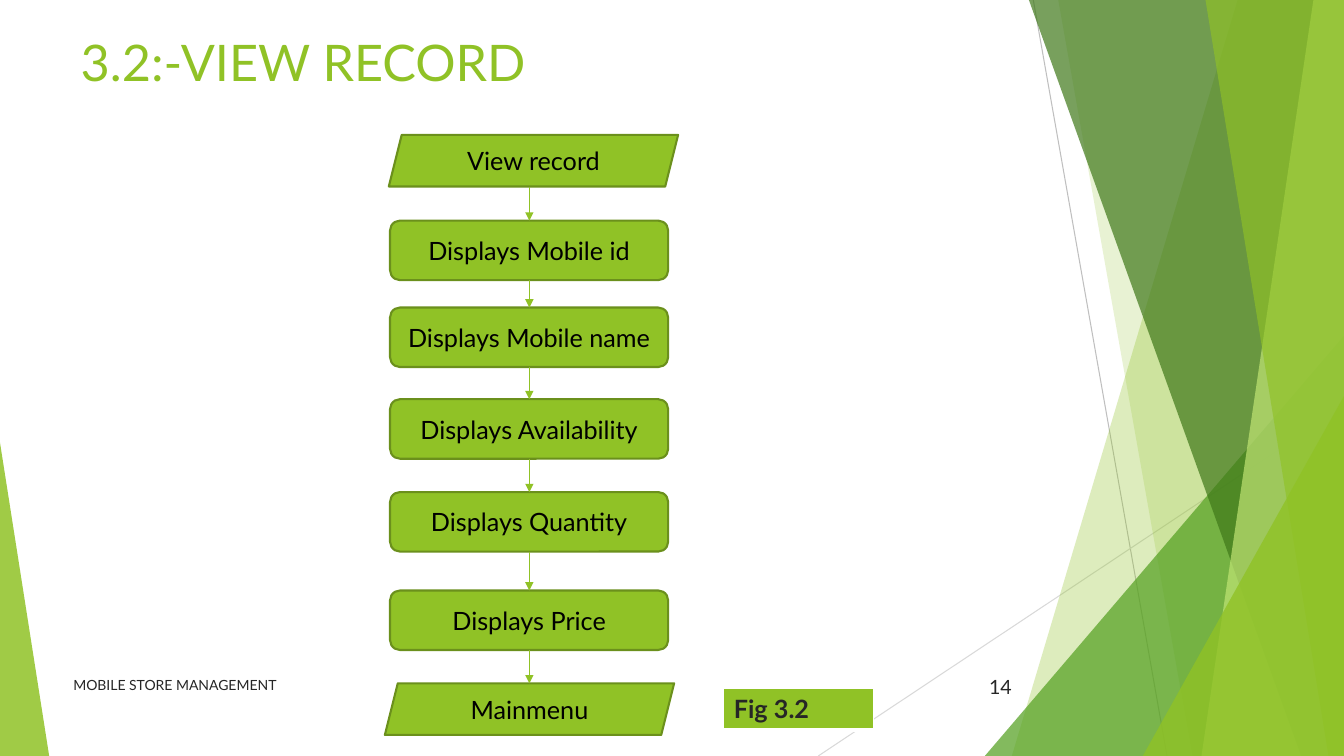
from dataclasses import dataclass
from itertools import pairwise

from lxml import etree
from pptx import Presentation
from pptx.dml.color import RGBColor
from pptx.enum.shapes import MSO_CONNECTOR, MSO_SHAPE
from pptx.enum.text import MSO_ANCHOR, PP_ALIGN
from pptx.oxml.ns import qn
from pptx.util import Cm, Pt

STRAIGHT = MSO_CONNECTOR.STRAIGHT
TERMINAL = MSO_SHAPE.PARALLELOGRAM
PROCESS = MSO_SHAPE.ROUNDED_RECTANGLE
TRIANGLE = MSO_SHAPE.ISOSCELES_TRIANGLE
LEFT, CENTER, RIGHT = PP_ALIGN.LEFT, PP_ALIGN.CENTER, PP_ALIGN.RIGHT
TOP, MIDDLE = MSO_ANCHOR.TOP, MSO_ANCHOR.MIDDLE

FONT = "Lato"
COLORS = {
    "lime": "90C226",
    "lime_edge": "6B901C",
    "pale_lime": "C0E474",
    "green": "54A021",
    "dark_green": "3F7819",
    "gray": "BFBFBF",
    "light_gray": "D9D9D9",
    "ink": "262626",
    "black": "000000",
    "white": "FFFFFF",
}
SLIDE_W, SLIDE_H = 33.87, 19.05
ARROW_X = 13.34


@dataclass(frozen=True)
class Band:
    """Full-height facet whose slanted left edge runs from top_x to bottom_x."""
    top_x: float
    bottom_x: float
    color: str
    opacity: int


@dataclass(frozen=True)
class Corner:
    """Right triangle on the bottom edge; apex is 0 for left, 1 for right."""
    left: float
    width: float
    height: float
    apex: int
    color: str
    opacity: int


@dataclass(frozen=True)
class Step:
    label: str
    kind: int
    left: float
    top: float
    width: float
    height: float


@dataclass(frozen=True)
class Caption:
    text: str
    left: float
    top: float
    width: float
    size: int
    align: int


FACETS = [
    Band(31.19, 25.5, "lime", 30),
    Band(26.67, 30.05, "lime", 20),
    Corner(24.82, 9.05, 10.59, 1, "green", 72),
    Band(25.93, 32.79, "dark_green", 70),
    Band(33.1, 30.28, "pale_lime", 70),
    Band(30.38, 33.48, "lime", 65),
    Corner(28.8, 5.07, 9.07, 1, "lime", 80),
    Corner(0, 1.24, 7.9, 0, "lime", 85),
]
DISPLAYS = [
    ("Mobile id", 5.56),
    ("Mobile name", 7.75),
    ("Availability", 10.06),
    ("Quantity", 12.4),
    ("Price", 14.88),
]
STEPS = [
    Step("View record", TERMINAL, 9.8, 3.4, 7.29, 1.3),
    *(Step(f"Displays {field}", PROCESS, 9.83, top, 7.01, 1.5)
      for field, top in DISPLAYS),
    Step("Mainmenu", TERMINAL, 9.7, 17.22, 7.29, 1.3),
]
CAPTIONS = [
    Caption("14", 23.85, 16.79, 1.9, 14, RIGHT),
    Caption("MOBILE STORE MANAGEMENT", 1.6, 16.74, 17.5, 10, LEFT),
]


def rgb(color: str) -> RGBColor:
    return RGBColor.from_string(COLORS[color])


def write(frame, text: str, size: int, color: str, align=LEFT,
          anchor=MIDDLE, bold: bool = False) -> None:
    frame.word_wrap = True
    frame.vertical_anchor = anchor
    paragraph = frame.paragraphs[0]
    paragraph.alignment = align
    run = paragraph.add_run()
    run.text = text
    run.font.name = FONT
    run.font.size = Pt(size)
    run.font.bold = bold
    run.font.color.rgb = rgb(color)


def draw_line(shapes, start: tuple, end: tuple, color: str, width: float):
    line = shapes.add_connector(STRAIGHT, *map(Cm, start + end))
    line.line.color.rgb = rgb(color)
    line.line.width = Pt(width)
    etree.SubElement(line._element.spPr, qn("a:effectLst"))
    return line


def draw_facet(shapes, facet: Band | Corner) -> None:
    if isinstance(facet, Band):
        builder = shapes.build_freeform(Cm(facet.top_x), 0)
        outline = [(SLIDE_W, 0), (SLIDE_W, SLIDE_H), (facet.bottom_x, SLIDE_H)]
        builder.add_line_segments([(Cm(x), Cm(y)) for x, y in outline])
        shape = builder.convert_to_shape()
    else:
        shape = shapes.add_shape(
            TRIANGLE, Cm(facet.left), Cm(SLIDE_H - facet.height),
            Cm(facet.width), Cm(facet.height))
        shape.adjustments[0] = facet.apex
    shape.shadow.inherit = False
    shape.fill.solid()
    shape.fill.fore_color.rgb = rgb(facet.color)
    fill_color = shape._element.spPr.find(f".//{qn('a:srgbClr')}")
    etree.SubElement(fill_color, qn("a:alpha"), val=str(facet.opacity * 1000))
    shape.line.fill.background()


def draw_step(shapes, step: Step) -> None:
    box = shapes.add_shape(step.kind, Cm(step.left), Cm(step.top),
                           Cm(step.width), Cm(step.height))
    box.shadow.inherit = False
    box.fill.solid()
    box.fill.fore_color.rgb = rgb("lime")
    box.line.color.rgb = rgb("lime_edge")
    box.line.width = Pt(1.5)
    write(box.text_frame, step.label, 18, "black", CENTER)


def draw_arrow(shapes, upper: Step, lower: Step) -> None:
    arrow = draw_line(shapes, (ARROW_X, upper.top + upper.height),
                      (ARROW_X, lower.top), "lime", 1)
    outline = arrow._element.spPr.find(qn("a:ln"))
    etree.SubElement(outline, qn("a:tailEnd"), type="triangle")


def draw_caption(shapes, caption: Caption) -> None:
    box = shapes.add_textbox(Cm(caption.left), Cm(caption.top),
                             Cm(caption.width), Cm(1.02))
    write(box.text_frame, caption.text, caption.size, "ink", caption.align)


def draw_figure_label(shapes) -> None:
    table = shapes.add_table(
        1, 1, Cm(18.24), Cm(17.35), Cm(3.78), Cm(1.04)).table
    cell = table.cell(0, 0)
    properties = cell._tc.get_or_add_tcPr()
    for side, width in (("L", 1), ("R", 1), ("T", 1), ("B", 3)):
        border = etree.SubElement(properties, qn(f"a:ln{side}"), w=str(Pt(width)))
        fill = etree.SubElement(border, qn("a:solidFill"))
        etree.SubElement(fill, qn("a:srgbClr"), val=COLORS["white"])
    cell.fill.solid()
    cell.fill.fore_color.rgb = rgb("lime")
    write(cell.text_frame, "Fig 3.2", 18, "ink", bold=True)
    cell.vertical_anchor = TOP


def main() -> None:
    deck = Presentation()
    deck.slide_width, deck.slide_height = Cm(SLIDE_W), Cm(SLIDE_H)
    shapes = deck.slides.add_slide(deck.slide_layouts[5]).shapes

    title = shapes.title
    title.left, title.top = Cm(1.78), Cm(0.66)
    title.width, title.height = Cm(23.2), Cm(1.98)
    write(title.text_frame, "3.2:-VIEW RECORD", 36, "lime", anchor=TOP)

    draw_line(shapes, (26.04, 0), (29.41, SLIDE_H), "gray", 0.75)
    draw_line(shapes, (SLIDE_W, 10.24), (20.62, SLIDE_H), "light_gray", 0.75)
    for facet in FACETS:
        draw_facet(shapes, facet)
    for step in STEPS:
        draw_step(shapes, step)
    for upper, lower in pairwise(STEPS):
        draw_arrow(shapes, upper, lower)
    draw_figure_label(shapes)
    for caption in CAPTIONS:
        draw_caption(shapes, caption)
    deck.save("out.pptx")


if __name__ == "__main__":
    main()
